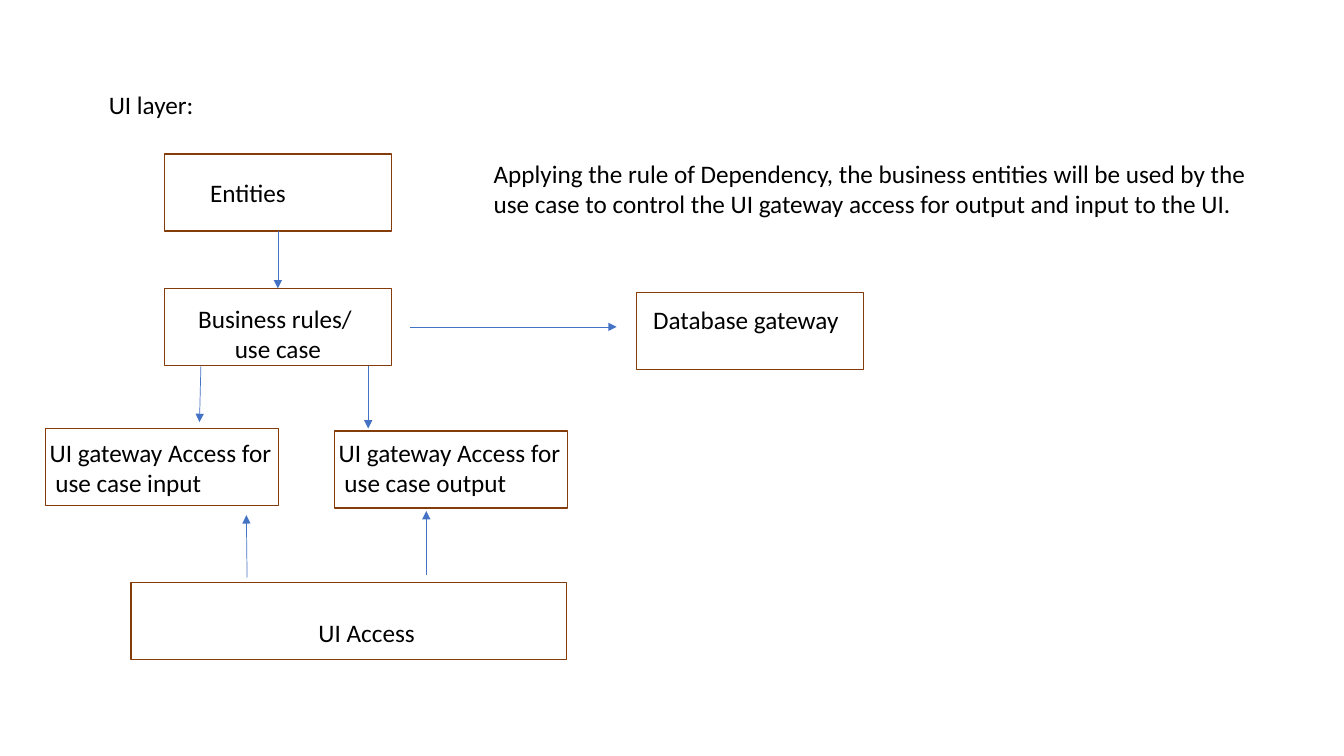
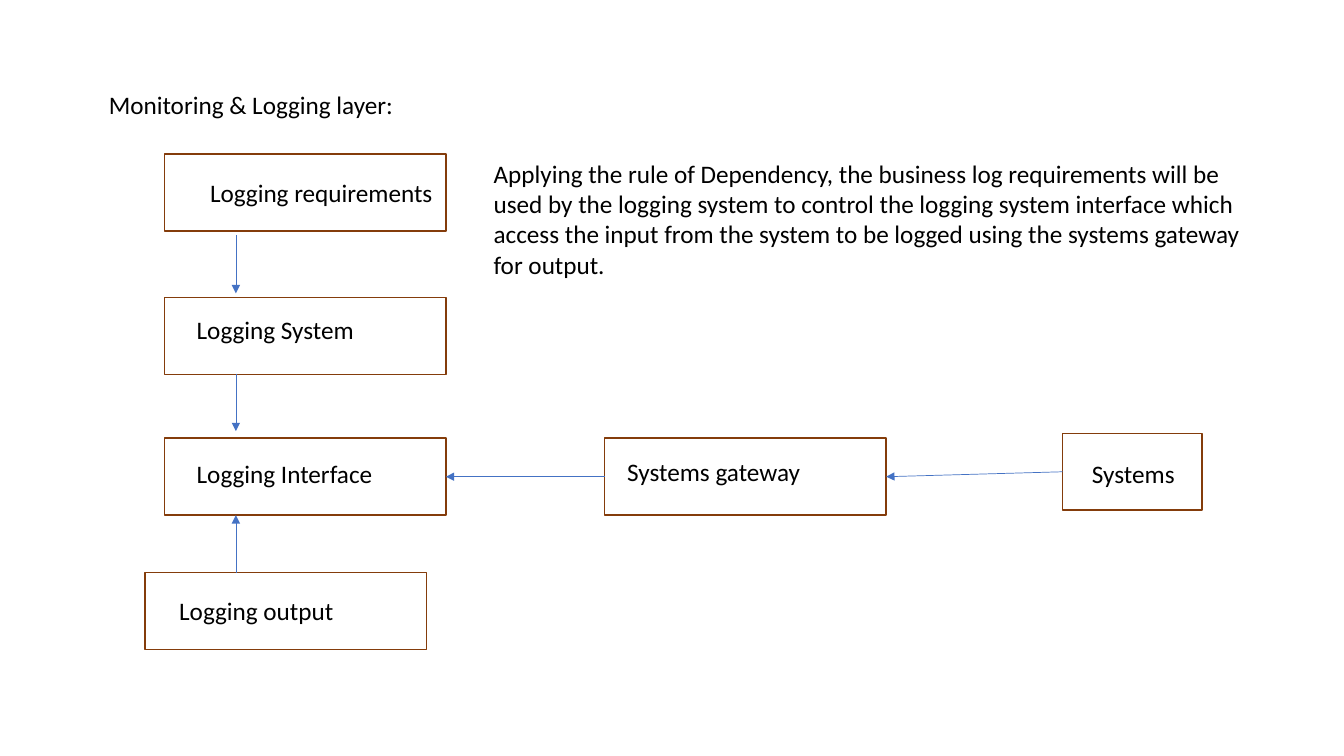
from collections import namedtuple
from dataclasses import dataclass

from lxml.etree import SubElement
from pptx import Presentation
from pptx.dml.color import RGBColor
from pptx.enum.shapes import MSO_CONNECTOR as Connector, MSO_SHAPE as Shape
from pptx.enum.text import MSO_ANCHOR as Anchor, MSO_AUTO_SIZE as AutoSize, PP_ALIGN as Align
from pptx.oxml.ns import qn
from pptx.util import Pt

Box = namedtuple("Box", "left top width height")
Node = namedtuple("Node", "left top width inset_x inset_y lines align", defaults=[Align.LEFT])
Link = namedtuple("Link", "source source_side target target_side")
Arrow = namedtuple("Arrow", "x1 y1 x2 y2")


@dataclass(frozen=True)
class Theme:
    """Colours, type and line sizes shared by the slides."""
    text: RGBColor = RGBColor(0x00, 0x00, 0x00)
    border: RGBColor = RGBColor(0x84, 0x3C, 0x0B)
    arrow: RGBColor = RGBColor(0x44, 0x72, 0xC4)
    font: str = "Calibri"
    size: float = 18
    border_width: float = 1
    arrow_width: float = 0.5
    node_height: float = 55


THEME = Theme()
TITLE_BOX = Box(70.5, 60.5, 400, 29)
EXPLANATION_BOX = Box(345.5, 109.5, 557.5, 73)
TOP, LEFT, BOTTOM, RIGHT = range(4)

UI_LAYER = {
    "title": "UI layer:",
    "explanation": "Applying the rule of Dependency, the business entities will be used by the "
                   "use case to control the UI gateway access for output and input to the UI.",
    "box": Box(32.5, 110, 584.5, 361),
    "nodes": {
        "entities": Node(85, 0, 162, 32.5, 16.5, ["Entities"]),
        "rules": Node(85, 96, 162, 0, 10.5, ["Business rules/ ", "use case"], Align.CENTER),
        "access": Node(61, 306, 311, 134, 25, ["UI Access"]),
        "input": Node(0, 196, 166.5, 3, 6.5, ["UI gateway Access for", " use case input"]),
        "output": Node(206.5, 198, 166.5, 3, 4.5, ["UI gateway Access for", " use case output"]),
        "database": Node(422, 99, 162.5, 12, 8.5, ["Database gateway"]),
    },
    "links": [Link("entities", BOTTOM, "rules", TOP)],
    "arrows": [
        Arrow(144, 302.5, 143.5, 258),
        Arrow(111, 151.5, 110, 191.5),
        Arrow(272, 300.5, 272, 255),
        Arrow(230.5, 151.5, 230.5, 196),
        Arrow(260.5, 123.5, 408, 123.5),
    ],
}

LOGGING_LAYER = {
    "title": "Monitoring & Logging layer:",
    "explanation": "Applying the rule of Dependency, the business log requirements will be used by "
                   "the logging system to control the logging system interface which access the "
                   "input from the system to be logged using the systems gateway for output.",
    "box": Box(103.5, 110, 755, 354),
    "nodes": {
        "requirements": Node(14, 0, 201, 32.5, 16.5, ["Logging requirements"]),
        "system": Node(14, 102.5, 201, 23, 12, ["Logging System"]),
        "interface": Node(14, 203, 201, 23, 14.5, ["Logging Interface"]),
        "output": Node(0, 299, 201, 24.5, 16, ["Logging output"]),
        "gateway": Node(328.5, 203, 201, 16, 13, ["Systems gateway"]),
        "systems": Node(655.5, 199.5, 99.5, 21, 18, ["Systems"]),
    },
    "links": [
        Link("gateway", LEFT, "interface", RIGHT),
        Link("systems", LEFT, "gateway", RIGHT),
    ],
    "arrows": [
        Arrow(65, 58, 65, 99.5),
        Arrow(65, 157, 65, 198),
        Arrow(65, 299, 65, 258),
    ],
}


def write(frame, lines, align=Align.LEFT):
    """Write one paragraph a line, in the theme's type, from the top of the frame."""
    frame.word_wrap = True
    frame.auto_size = AutoSize.NONE
    frame.vertical_anchor = Anchor.TOP
    for index, line in enumerate(lines):
        paragraph = frame.add_paragraph() if index else frame.paragraphs[0]
        paragraph.alignment = align
        run = paragraph.add_run()
        run.text = line
        run.font.name = THEME.font
        run.font.size = Pt(THEME.size)
        run.font.color.rgb = THEME.text


def add_title(slide, box, text):
    """Move the title placeholder to its box and fill it."""
    title = slide.shapes.title
    title.left, title.top, title.width, title.height = map(Pt, box)
    write(title.text_frame, [text])


def add_explanation(slide, box, text):
    """Add the paragraph that explains the diagram."""
    explanation = slide.shapes.add_textbox(*map(Pt, box))
    write(explanation.text_frame, [text])


def add_node(slide, box, node):
    """Add an outlined rectangle with its label inset from the top left."""
    rectangle = slide.shapes.add_shape(
        Shape.RECTANGLE, Pt(box.left + node.left), Pt(box.top + node.top),
        Pt(node.width), Pt(THEME.node_height))
    rectangle.shadow.inherit = False
    rectangle.fill.background()
    rectangle.line.color.rgb = THEME.border
    rectangle.line.width = Pt(THEME.border_width)
    frame = rectangle.text_frame
    frame.margin_left, frame.margin_top = Pt(node.inset_x), Pt(node.inset_y)
    frame.margin_right = frame.margin_bottom = 0
    write(frame, node.lines, node.align)
    return rectangle


def add_arrow(slide, box, arrow):
    """Add a thin straight arrow within the box."""
    connector = slide.shapes.add_connector(
        Connector.STRAIGHT, Pt(box.left + arrow.x1), Pt(box.top + arrow.y1),
        Pt(box.left + arrow.x2), Pt(box.top + arrow.y2))
    connector.line.color.rgb = THEME.arrow
    connector.line.width = Pt(THEME.arrow_width)
    properties = connector._element.spPr
    SubElement(properties.find(qn("a:ln")), qn("a:tailEnd"), type="triangle")
    SubElement(properties, qn("a:effectLst"))
    return connector


def add_diagram(slide, box, nodes, links, arrows):
    """Draw the nodes, the arrows that join them and the free arrows."""
    rectangles = {key: add_node(slide, box, node) for key, node in nodes.items()}
    for link in links:
        connector = add_arrow(slide, box, Arrow(0, 0, 0, 0))
        connector.begin_connect(rectangles[link.source], link.source_side)
        connector.end_connect(rectangles[link.target], link.target_side)
    for arrow in arrows:
        add_arrow(slide, box, arrow)


def add_layer_slide(deck, layer):
    """Add a slide with a title, a diagram and its explanation."""
    slide = deck.slides.add_slide(deck.slide_layouts.get_by_name("Title Only"))
    add_title(slide, TITLE_BOX, layer["title"])
    add_diagram(slide, layer["box"], layer["nodes"], layer["links"], layer["arrows"])
    add_explanation(slide, EXPLANATION_BOX, layer["explanation"])


def main():
    """Build and save the deck."""
    deck = Presentation()
    deck.slide_width, deck.slide_height = Pt(960), Pt(540)
    for layer in (UI_LAYER, LOGGING_LAYER):
        add_layer_slide(deck, layer)
    deck.save("out.pptx")


if __name__ == "__main__":
    main()
